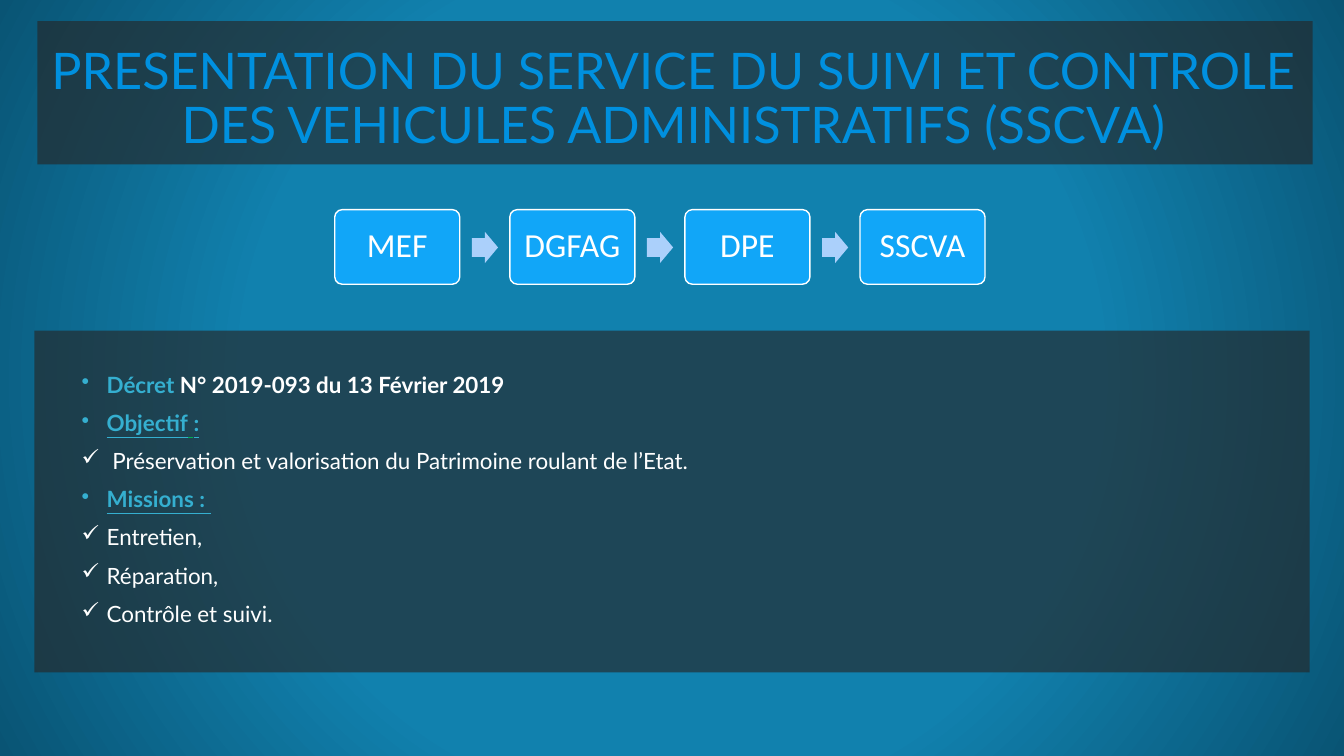
from pptx import Presentation
from pptx.dml.color import RGBColor as RGB
from pptx.enum.shapes import MSO_SHAPE as SHAPE
from pptx.enum.text import MSO_ANCHOR as ANCHOR, MSO_AUTO_SIZE as FIT, PP_ALIGN as ALIGN
from pptx.oxml import parse_xml
from pptx.oxml.ns import nsdecls
from pptx.util import Inches, Pt
from lxml.etree import SubElement

HUES = {
    "mid": "1181AE", "edge": "095474", "panel": "262626", "title": "0090DF",
    "box": "11A6F8", "arrow": "ABD0FB", "teal": "35AFD0", "green": "00B050",
    "white": "FFFFFF",
}
STEPS = ["MEF", "DGFAG", "DPE", "SSCVA"]
FIRST, LAST = 3.32, 8.53
# Each line: bullet, then runs of (text, colour, bold, underline)
LINES = [
    ("•", [("Décret ", "teal", True, False),
           ("N° 2019-093 du 13 Février 2019", "white", True, False)]),
    ("•", [("Objectif", "teal", True, True), (" ", "green", True, True),
           (":", "teal", True, True)]),
    ("✓", [(" Préservation et valorisation du Patrimoine roulant de l’Etat.",
            "white", False, False)]),
    ("•", [("Missions : ", "teal", True, True)]),
    ("✓", [("Entretien,", "white", False, False)]),
    ("✓", [("Réparation,", "white", False, False)]),
    ("✓", [("Contrôle et suivi.", "white", False, False)]),
]


def hue(name):
    return RGB.from_string(HUES[name])


def paint_back(slide):
    """Radial gradient from the centre of the slide."""
    slide.background.fill.solid()
    back = slide._element.xpath(".//p:bgPr")[0]
    stops = "".join(
        f'<a:gs pos="{pos * 1000}"><a:srgbClr val="{HUES[name]}"/></a:gs>'
        for pos, name in [(0, "mid"), (55, "mid"), (100, "edge")])
    back.replace(back[0], parse_xml(
        f'<a:gradFill {nsdecls("a")} rotWithShape="1"><a:gsLst>{stops}</a:gsLst>'
        '<a:path path="circle"><a:fillToRect l="50000" t="50000" r="50000" b="50000"/>'
        '</a:path></a:gradFill>'))


def add_shape(slide, kind, box, fill):
    shape = slide.shapes.add_shape(kind, *map(Inches, box))
    shape.shadow.inherit = False
    shape.fill.solid()
    shape.fill.fore_color.rgb = hue(fill)
    shape.line.fill.background()
    return shape


def add_panel(slide, box):
    panel = add_shape(slide, SHAPE.RECTANGLE, box, "panel")
    tint = panel._element.xpath("./p:spPr/a:solidFill/a:srgbClr")[0]
    SubElement(tint, "{%s}alpha" % tint.nsmap["a"], val="64000")
    return panel


def set_title(slide, text):
    title = slide.shapes.title
    title.left, title.top, title.width, title.height = map(
        Inches, (0.37, 0.08, 12.62, 1.83))
    slide.shapes._spTree.append(title._element)  # bring in front of its panel
    frame = title.text_frame
    frame.text = text
    frame.word_wrap = True
    frame.auto_size = FIT.NONE
    frame.vertical_anchor = ANCHOR.MIDDLE
    para = frame.paragraphs[0]
    para.alignment = ALIGN.CENTER
    para.line_spacing = 0.9
    para.font.name, para.font.size = "Lato", Pt(36)
    para.font.color.rgb = hue("title")


def add_step(slide, left, text):
    step = add_shape(slide, SHAPE.ROUNDED_RECTANGLE, (left, 2.08, 1.24, 0.74), "box")
    step.adjustments[0] = 0.1
    step.line.color.rgb = hue("white")
    step.line.width = Pt(1)
    frame = step.text_frame
    frame.text = text
    frame.vertical_anchor = ANCHOR.MIDDLE
    para = frame.paragraphs[0]
    para.alignment = ALIGN.CENTER
    para.line_spacing = 0.9
    para.font.name, para.font.size = "Calibri", Pt(24)
    para.font.color.rgb = hue("white")


def add_chain(slide):
    gap = (LAST - FIRST) / (len(STEPS) - 1)
    for i, text in enumerate(STEPS):
        left = FIRST + i * gap
        add_step(slide, left, text)
        if i < len(STEPS) - 1:
            arrow = add_shape(slide, SHAPE.RIGHT_ARROW,
                              (left + 1.36, 2.3, 0.26, 0.31), "arrow")
            arrow.adjustments[0] = 0.6


def add_line(para, mark, runs):
    para.alignment = ALIGN.LEFT
    para.line_spacing = 0.9
    para.space_before = Pt(10)
    para.font.name, para.font.size = "Lato", Pt(16)
    props = para._p.get_or_add_pPr()
    props.set("marL", str(Inches(0.62)))
    props.set("indent", str(Inches(-0.25)))
    bullet = parse_xml(f'<a:buChar {nsdecls("a")} char="{mark}"/>')
    props.insert_element_before(bullet, "a:tabLst", "a:defRPr", "a:extLst")
    for text, name, bold, under in runs:
        run = para.add_run()
        run.text = text
        run.font.color.rgb = hue(name)
        run.font.bold, run.font.underline = bold, under


def fill_body(panel):
    frame = panel.text_frame
    frame.word_wrap = True
    frame.vertical_anchor = ANCHOR.TOP
    frame.margin_top = Inches(0.43)
    for i, (mark, runs) in enumerate(LINES):
        para = frame.add_paragraph() if i else frame.paragraphs[0]
        add_line(para, mark, runs)


def main():
    deck = Presentation()
    deck.slide_width, deck.slide_height = Inches(13.33), Inches(7.5)
    slide = deck.slides.add_slide(deck.slide_layouts[5])
    paint_back(slide)
    # Decree, goal and missions
    fill_body(add_panel(slide, (0.34, 3.28, 12.65, 3.39)))
    # Title on its band
    add_panel(slide, (0.37, 0.21, 12.65, 1.42))
    set_title(slide, "PRESENTATION DU SERVICE DU SUIVI ET CONTROLE "
                     "DES VEHICULES ADMINISTRATIFS (SSCVA)")
    # Chain of services
    add_chain(slide)
    deck.save("out.pptx")


if __name__ == "__main__":
    main()
